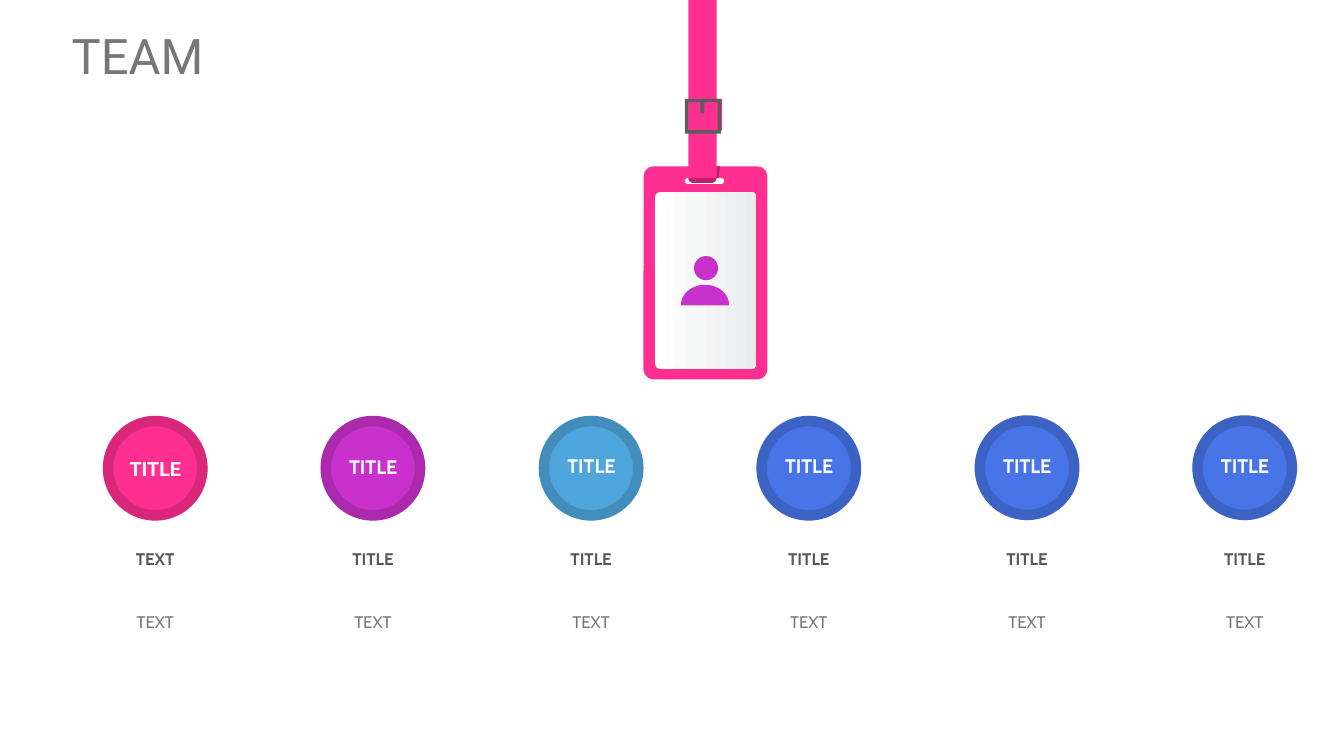
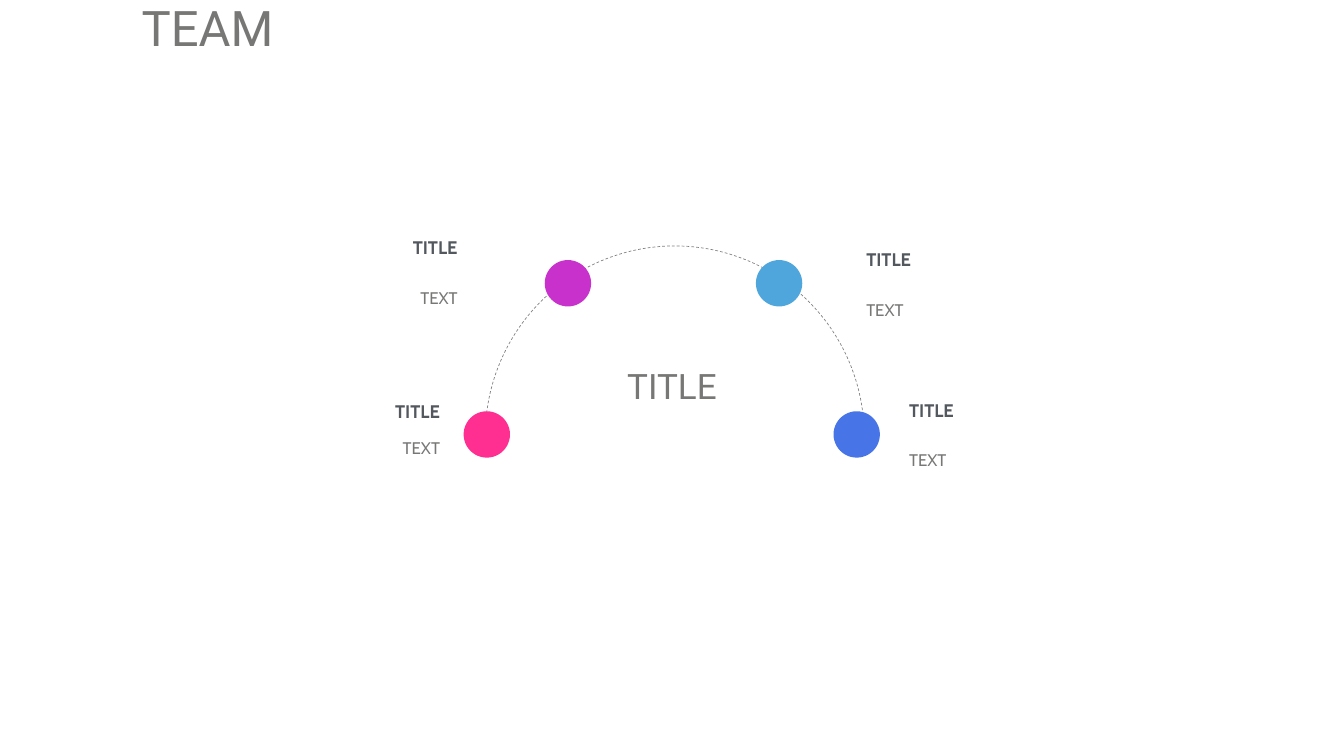
from dataclasses import dataclass
from math import cos, radians, sin

from lxml import etree
from pptx import Presentation
from pptx.dml.color import RGBColor
from pptx.enum.dml import MSO_LINE
from pptx.enum.shapes import MSO_SHAPE
from pptx.enum.text import MSO_ANCHOR, MSO_AUTO_SIZE, PP_ALIGN
from pptx.oxml.ns import qn
from pptx.util import Emu, Pt

PX = 9144  # EMU per px, 100 px to the inch
TITLE_ONLY = 5
OVAL, RECT = MSO_SHAPE.OVAL, MSO_SHAPE.RECTANGLE
ROUNDED, DONUT, FRAME = MSO_SHAPE.ROUNDED_RECTANGLE, MSO_SHAPE.DONUT, MSO_SHAPE.FRAME
TOP, MIDDLE = MSO_ANCHOR.TOP, MSO_ANCHOR.MIDDLE
LEFT, CENTER, RIGHT = PP_ALIGN.LEFT, PP_ALIGN.CENTER, PP_ALIGN.RIGHT


@dataclass(frozen=True)
class Theme:
    pink: str = "FF2F91"
    dark_pink: str = "BE206A"
    purple: str = "C831CC"
    sky: str = "4EA6DC"
    blue: str = "4775E7"
    gray: str = "777776"
    slate: str = "53585F"
    buckle: str = "5C5D5E"
    arc: str = "808180"
    card_end: str = "EBECED"
    white: str = "FFFFFF"
    black: str = "000000"
    head_font: str = "Roboto"
    body_font: str = "Cabin"
    title_size: int = 70
    center_size: int = 50
    circle_size: int = 28
    point_size: int = 26
    body_size: int = 24


T = Theme()


def px(n):
    return Emu(round(n * PX))


def rgb(color):
    return RGBColor.from_string(color)


# Text

def write(sp, text, size=T.body_size, font=T.body_font, color=T.gray, bold=False,
          align=LEFT, anchor=MIDDLE, spacing=1.2, inset=0, wrap=True, grow=True):
    tf = sp.text_frame
    tf.word_wrap = wrap
    tf.auto_size = MSO_AUTO_SIZE.SHAPE_TO_FIT_TEXT if grow else MSO_AUTO_SIZE.NONE
    tf.vertical_anchor = anchor
    tf.margin_left = tf.margin_right = tf.margin_top = tf.margin_bottom = px(inset)
    p = tf.paragraphs[0]
    p.alignment, p.line_spacing = align, spacing
    r = p.add_run()
    r.text = text
    r.font.size, r.font.name, r.font.bold = Pt(size), font, bold
    r.font.color.rgb = rgb(color)


def add_text(s, x, y, w, h, text, **fmt):
    sp = s.shapes.add_textbox(px(x), px(y), px(w), px(h))
    write(sp, text, **fmt)


def add_slide(prs, title, x, y):
    s = prs.slides.add_slide(prs.slide_layouts[TITLE_ONLY])
    sp = s.shapes.title
    sp.left, sp.top, sp.width, sp.height = px(x), px(y), px(2403), px(137)
    write(sp, title, size=T.title_size, font=T.head_font, anchor=TOP,
          spacing=0.9, inset=10)
    return s


# Shapes

def paint(sp, color):
    sp.shadow.inherit = False
    sp.fill.solid()
    sp.fill.fore_color.rgb = rgb(color)
    sp.line.fill.background()
    return sp


def add_shape(s, kind, x, y, w, h, color, adjust=None):
    sp = s.shapes.add_shape(kind, px(x), px(y), px(w), px(h))
    if adjust is not None:
        sp.adjustments[0] = adjust
    return paint(sp, color)


def arc_points(cx, cy, rx, ry, start, end, steps=24):
    """Points of an elliptical arc; angles run clockwise from the right."""
    angles = [radians(start + (end - start) * i / steps) for i in range(steps + 1)]
    return [(cx + rx * cos(a), cy + ry * sin(a)) for a in angles]


def add_outline(s, points, close=True):
    (x, y), *rest = [(px(x), px(y)) for x, y in points]
    builder = s.shapes.build_freeform(x, y)
    builder.add_line_segments(rest, close=close)
    return builder.convert_to_shape()


def set_alpha(sp, percent):
    clr = sp.fill._xPr.find(qn("a:solidFill"))[0]
    etree.SubElement(clr, qn("a:alpha")).set("val", str(percent * 1000))


# Team slide

def add_badge(s):
    # Holder, slot and fold
    add_shape(s, ROUNDED, 1277, 330, 246, 423, T.pink, 0.08)
    add_shape(s, ROUNDED, 1359, 353, 78, 12, T.white, 0.5)
    fold = [(1429, 330), (1418, 330), (1418, 353), (1426, 353)]
    paint(add_outline(s, fold), T.dark_pink)

    # Card
    card = add_shape(s, ROUNDED, 1300, 381, 201, 351, T.white, 0.05)
    card.fill.gradient()
    card.fill.gradient_angle = 0
    for stop, color in zip(card.fill.gradient_stops, (T.white, T.card_end)):
        stop.color.rgb = rgb(color)

    # Strap
    add_shape(s, ROUNDED, 1366, -92, 56, 451, T.pink, 0.18)
    add_shape(s, RECT, 1366, 196, 67, 63, T.pink)
    strap_end = (arc_points(1412, 353, 10, 10, 0, 90)
                 + arc_points(1376, 353, 10, 10, 90, 180))
    paint(add_outline(s, strap_end), T.dark_pink)

    # Buckle
    add_shape(s, FRAME, 1359, 196, 72, 69, T.buckle, 0.1)
    add_shape(s, ROUNDED, 1390, 200, 8, 25, T.buckle, 0.3)

    # Person
    paint(add_outline(s, arc_points(1399, 606, 48, 41, 180, 360)), T.purple)
    add_shape(s, OVAL, 1377, 508, 48, 48, T.purple)


def add_member(s, cx, y, color, heading, label_y):
    circle = add_shape(s, OVAL, cx - 104, y, 208, 208, color)
    label = dict(size=T.circle_size, color=T.white, bold=True, align=CENTER)
    if label_y is None:
        write(circle, "TITLE", font=T.head_font, spacing=1.0, inset=6,
              grow=False, **label)
    ring = add_shape(s, DONUT, cx - 104, y, 208, 208, T.black, 0.1)
    set_alpha(ring, 15)
    if label_y is not None:
        add_text(s, cx - 52, label_y, 105, 54, "TITLE", spacing=0.7, inset=4,
                 wrap=False, **label)
    add_text(s, cx - 172, 1079, 344, 52, heading, color=T.slate, bold=True,
             align=CENTER, inset=6)
    add_text(s, cx - 172, 1203, 344, 52, "TEXT", align=CENTER, inset=6)


def build_members(prs):
    s = add_slide(prs, "TEAM", 132, 54)
    add_badge(s)
    members = [  # circle top, colour, heading, top of a separate circle label
        (825, T.pink, "TEXT", None),
        (825, T.purple, "TITLE", 905),
        (825, T.sky, "TITLE", 902),
        (825, T.blue, "TITLE", 902),
        (824, T.blue, "TITLE", 902),
        (824, T.blue, "TITLE", 902),
    ]
    for i, (y, color, heading, label_y) in enumerate(members):
        add_member(s, 308 + i * 865 // 2, y, color, heading, label_y)


# Arc slide

def add_point(s, edge, y, text_gap, text_w, align):
    """Heading and text that share the given left or right edge."""
    def left(w):
        return edge - w if align == RIGHT else edge

    add_text(s, left(90), y, 90, 42, "TITLE", size=T.point_size, color=T.slate,
             bold=True, align=align, wrap=False)
    add_text(s, left(text_w), y + text_gap, text_w, 40, "TEXT", align=align)


def build_arc(prs):
    s = add_slide(prs, "TEAM", 271, -1)
    arc = add_outline(s, arc_points(1339, 865, 376, 377, 184, 356, 90), close=False)
    arc.shadow.inherit = False
    arc.fill.background()
    arc.line.color.rgb = rgb(T.arc)
    arc.line.width = Pt(1)
    arc.line.dash_style = MSO_LINE.DASH

    dots = [(920, 816, T.pink), (1654, 816, T.blue),
            (1500, 516, T.sky), (1081, 516, T.purple)]
    for x, y, color in dots:
        add_shape(s, OVAL, x, y, 92, 92, color)

    points = [(1719, 489, 101, 550, LEFT), (1804, 788, 101, 423, LEFT),
              (908, 465, 101, 468, RIGHT), (873, 791, 74, 452, RIGHT)]
    for point in points:
        add_point(s, *point)
    add_text(s, 1078, 723, 511, 103, "TITLE", size=T.center_size, font=T.head_font,
             align=CENTER, anchor=TOP, spacing=0.9, inset=10)


def main():
    prs = Presentation()
    prs.slide_width, prs.slide_height = px(2667), px(1500)
    build_members(prs)
    build_arc(prs)
    prs.save("out.pptx")


if __name__ == "__main__":
    main()
